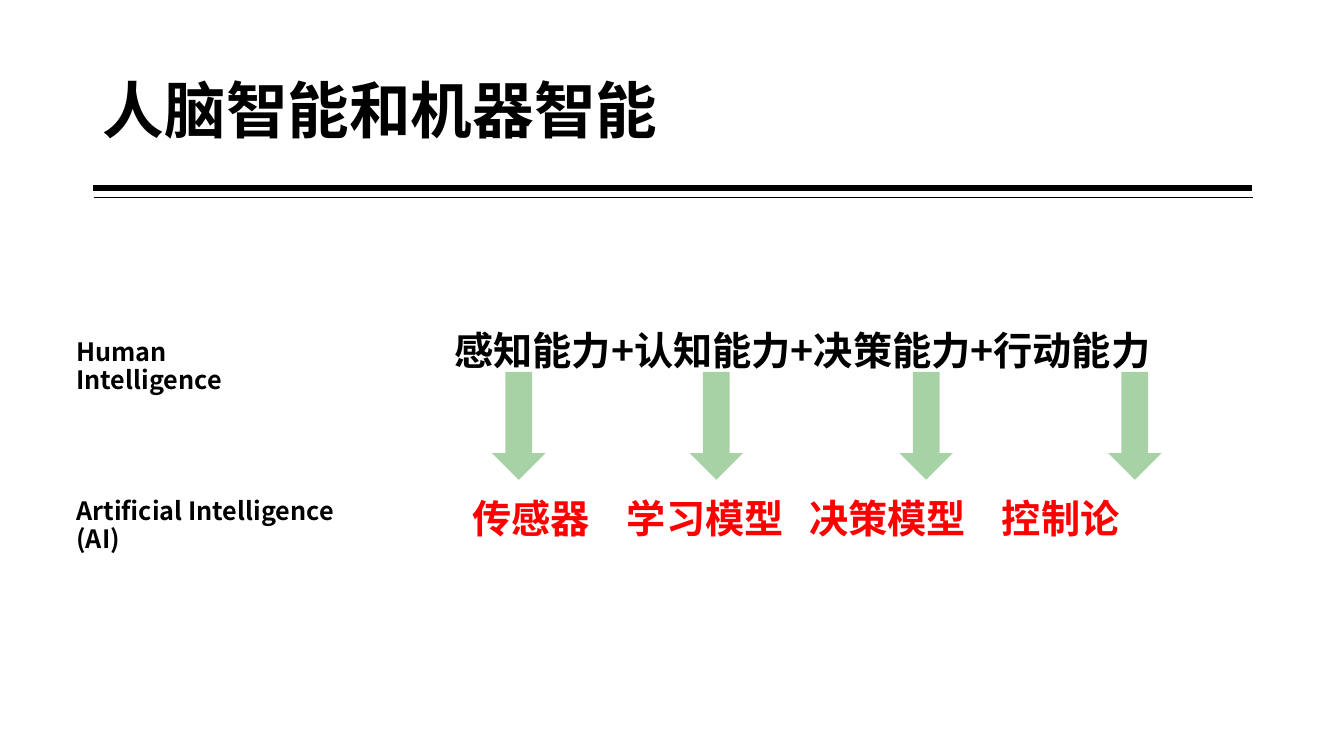
"""Build the slide comparing human and machine intelligence."""
from dataclasses import dataclass

from lxml import etree
from pptx import Presentation
from pptx.dml.color import RGBColor
from pptx.enum.shapes import MSO_CONNECTOR, MSO_SHAPE
from pptx.enum.text import MSO_ANCHOR, PP_ALIGN
from pptx.oxml.ns import qn
from pptx.slide import Slide
from pptx.text.text import TextFrame
from pptx.util import Inches, Pt

LEFT = PP_ALIGN.LEFT
TOP, MIDDLE = MSO_ANCHOR.TOP, MSO_ANCHOR.MIDDLE
STRAIGHT = MSO_CONNECTOR.STRAIGHT
DOWN_ARROW = MSO_SHAPE.DOWN_ARROW

WIDTH, HEIGHT = Inches(13.33), Inches(7.5)
FONT = "Noto Sans CJK SC"
COLORS = {"ink": "000000", "model": "FF0000", "arrow": "008000"}
ARROW_OPACITY = 35
ARROW_LEFTS = (36.61, 51.31, 66.92, 82.45)
MODEL_TABS = (1.53, 3.34, 5.25)


@dataclass(frozen=True)
class Box:
    """Place in percent of the slide's width and height."""
    left: float
    top: float
    width: float
    height: float

    def emu(self) -> tuple[int, int, int, int]:
        """Return the place as lengths."""
        return x(self.left), y(self.top), x(self.width), y(self.height)


@dataclass(frozen=True)
class Label:
    """Text with its place and format."""
    text: str
    box: Box
    size: float
    color: str = "ink"
    anchor: MSO_ANCHOR = MIDDLE
    spacing: float | Pt = 0.9
    tabs: tuple[float, ...] = ()


@dataclass(frozen=True)
class Rule:
    """Horizontal line under the title."""
    left: float
    right: float
    top: float
    weight: float


TITLE = Label("人脑智能和机器智能", Box(6.9, 5.33, 86.27, 19.33), 44)
LABELS = (
    Label("感知能力+认知能力+决策能力+行动能力", Box(33.08, 42.67, 60, 8), 28),
    Label("传感器\t学习模型\t决策模型\t控制论", Box(34.43, 64.93, 60, 8), 28,
          "model", tabs=MODEL_TABS),
    Label("Human\vIntelligence", Box(4.95, 44.13, 18.3, 8.67), 18,
          anchor=TOP, spacing=Pt(20)),
    Label("Artificial Intelligence\v(AI)", Box(4.95, 65.2, 22.88, 8.67), 18,
          anchor=TOP, spacing=Pt(20)),
)
RULES = (Rule(6.9, 93.17, 24.87, 4.5), Rule(6.98, 93.25, 26.13, 0.5))


def x(share: float) -> int:
    """Return a percentage of the slide's width."""
    return round(WIDTH * share / 100)


def y(share: float) -> int:
    """Return a percentage of the slide's height."""
    return round(HEIGHT * share / 100)


def rgb(name: str) -> RGBColor:
    """Look up a colour by name."""
    return RGBColor.from_string(COLORS[name])


def write(tf: TextFrame, label: Label) -> None:
    """Fill a text frame and format its runs."""
    tf.text = label.text
    tf.word_wrap = True
    tf.vertical_anchor = label.anchor
    p = tf.paragraphs[0]
    p.alignment = LEFT
    p.line_spacing = label.spacing
    if label.tabs:
        tabs = etree.SubElement(p._p.get_or_add_pPr(), qn("a:tabLst"))
        for pos in label.tabs:
            etree.SubElement(tabs, qn("a:tab"), pos=str(Inches(pos)), algn="l")
    for r in p.runs:
        r.font.name = FONT
        r.font.size = Pt(label.size)
        r.font.bold = True
        r.font.color.rgb = rgb(label.color)
        etree.SubElement(r._r.get_or_add_rPr(), qn("a:ea"), typeface=FONT)


def add_title(slide: Slide, label: Label) -> None:
    """Move and format the title placeholder."""
    sp = slide.shapes.title
    sp.left, sp.top, sp.width, sp.height = label.box.emu()
    write(sp.text_frame, label)


def add_rule(slide: Slide, rule: Rule) -> None:
    """Draw one line under the title."""
    line = slide.shapes.add_connector(
        STRAIGHT, x(rule.left), y(rule.top), x(rule.right), y(rule.top))
    line.line.color.rgb = rgb("ink")
    line.line.width = Pt(rule.weight)
    etree.SubElement(line._element.spPr, qn("a:effectLst"))


def add_arrow(slide: Slide, left: float) -> None:
    """Draw one translucent arrow between the rows."""
    sp = slide.shapes.add_shape(DOWN_ARROW, *Box(left, 49.2, 3.98, 14.27).emu())
    sp.shadow.inherit = False
    sp.fill.solid()
    sp.fill.fore_color.rgb = rgb("arrow")
    sp.line.fill.background()
    color = sp._element.spPr.find(qn("a:solidFill"))[0]
    etree.SubElement(color, qn("a:alpha"), val=str(ARROW_OPACITY * 1000))


def main() -> None:
    """Build and save the presentation."""
    prs = Presentation()
    prs.slide_width, prs.slide_height = WIDTH, HEIGHT
    slide = prs.slides.add_slide(prs.slide_layouts[5])
    add_title(slide, TITLE)
    for rule in RULES:
        add_rule(slide, rule)
    for label in LABELS:
        write(slide.shapes.add_textbox(*label.box.emu()).text_frame, label)
    for left in ARROW_LEFTS:
        add_arrow(slide, left)
    prs.save("out.pptx")


if __name__ == "__main__":
    main()
